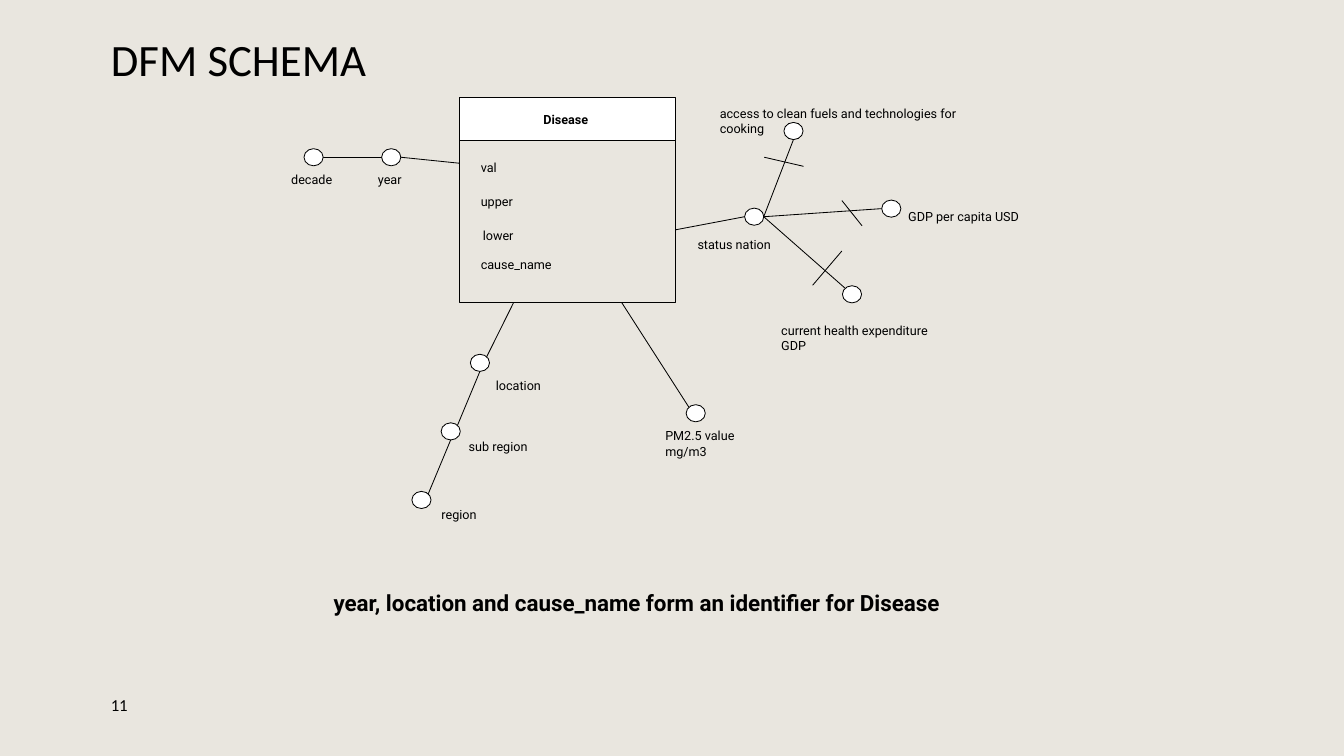
from lxml import etree
from pptx import Presentation
from pptx.dml.color import RGBColor
from pptx.enum.shapes import MSO_CONNECTOR as Link, MSO_SHAPE as Form
from pptx.enum.text import MSO_ANCHOR as Anchor, PP_ALIGN as Align
from pptx.oxml.ns import qn
from pptx.util import Inches, Pt

BLACK, WHITE, SAND = "000000", "FFFFFF", "E9E6DF"
WIDE, HIGH = 0.19, 0.17
PORTS = {"top": (0, -1), "left": (-1, 0), "right": (1, 0), "base": (0, 1),
         "nw": (-0.71, -0.71), "ne": (0.71, -0.71)}


def color(code):
    """Turn a hex string into a colour."""
    return RGBColor.from_string(code)


def write(shape, text, size=9, font="Roboto", bold=False, wrap=False,
          anchor=Anchor.TOP):
    """Put formatted text into a shape."""
    frame = shape.text_frame
    frame.word_wrap = wrap
    frame.vertical_anchor = anchor
    frame.text = text
    par = frame.paragraphs[0]
    par.alignment = Align.LEFT
    face = par.runs[0].font
    face.size, face.name, face.bold = Pt(size), font, bold
    face.color.rgb = color(BLACK)
    return par


def label(slide, x, y, w, text, h=0.22, **style):
    """Add a text box."""
    return write(slide.shapes.add_textbox(*map(Inches, (x, y, w, h))), text, **style)


def solid(slide, form, x, y, w, h, fill=None):
    """Add a thinly outlined shape."""
    shape = slide.shapes.add_shape(form, *map(Inches, (x, y, w, h)))
    shape.shadow.inherit = False
    if fill:
        shape.fill.solid()
        shape.fill.fore_color.rgb = color(fill)
    else:
        shape.fill.background()
    shape.line.color.rgb = color(BLACK)
    shape.line.width = Pt(0.59)


def line(slide, start, end):
    """Join two points with a thin line."""
    link = slide.shapes.add_connector(Link.STRAIGHT, *map(Inches, (*start, *end)))
    link.line.color.rgb = color(BLACK)
    link.line.width = Pt(0.59)
    etree.SubElement(link._element.spPr, qn("a:effectLst"))


def node(slide, x, y):
    """Add a circle centred on a point."""
    solid(slide, Form.OVAL, x - WIDE / 2, y - HIGH / 2, WIDE, HIGH, WHITE)


def port(spot, side):
    """Find a point on the rim of a node."""
    dx, dy = PORTS[side]
    return spot[0] + dx * WIDE / 2, spot[1] + dy * HIGH / 2


def heading(slide, x, y, w, h):
    """Place the slide title."""
    title = slide.shapes.title
    title.left, title.top, title.width, title.height = map(Inches, (x, y, w, h))
    par = write(title, "DFM SCHEMA", size=32, font="Calibri", wrap=True,
                anchor=Anchor.MIDDLE)
    par.line_spacing = 0.9


def fact(slide, x, y, w, h):
    """Draw the fact table with its measures."""
    head = 0.42
    solid(slide, Form.RECTANGLE, x, y, w, head, WHITE)
    solid(slide, Form.RECTANGLE, x, y + head, w, h - head)
    label(slide, x + 0.73, y + 0.09, 0.68, "Disease", bold=True)
    for text, dx, dy, wide in [("val", 0.11, 0.57, 0.38), ("upper", 0.11, 0.9, 0.55),
                               ("lower", 0.13, 1.24, 0.53),
                               ("cause_name", 0.11, 1.53, 0.95)]:
        label(slide, x + dx, y + dy, wide, text)


def time(slide, x, y, w, h):
    """Draw the time branch, ending at the left side of the fact."""
    year, decade = (x - 0.68, y + 0.59), (x - 1.45, y + 0.59)
    line(slide, port(decade, "right"), port(year, "left"))
    line(slide, port(year, "right"), (x, y + 0.65))
    for spot, text, dx, wide in [(year, "year", -0.23, 0.46),
                                 (decade, "decade", -0.32, 0.64)]:
        node(slide, *spot)
        label(slide, spot[0] + dx, spot[1] + 0.1, wide, text)


def place(slide, x, y, w, h):
    """Draw the chain of places below the fact."""
    start = x + w / 4, y + h
    for step, (text, dx, dy, wide) in enumerate([("location", 0.06, 0.1, 0.66),
                                                 ("sub region", 0.08, 0.02, 0.81),
                                                 ("region", 0.1, 0.02, 0.58)]):
        spot = x + 0.2 - 0.29 * step, y + 2.63 + 0.68 * step
        line(slide, start, port(spot, "ne"))
        node(slide, *spot)
        label(slide, spot[0] + dx, spot[1] + dy, wide, text)
        start = port(spot, "base")


def air(slide, x, y, w, h):
    """Draw the pollution branch below the fact."""
    spot = x + 2.34, y + 3.13
    line(slide, (x + w * 3 / 4, y + h), port(spot, "nw"))
    node(slide, *spot)
    label(slide, spot[0] - 0.4, spot[1] + 0.1, 1, "PM2.5 value mg/m3", wrap=True)


def nation(slide, x, y, w, h):
    """Draw the nation branch with its crossed-out optional links."""
    hub = x + w + 0.78, y + 1.18
    line(slide, (x + w, y + 1.31), port(hub, "left"))
    node(slide, *hub)
    label(slide, hub[0] - 0.66, hub[1] + 0.15, 0.93, "status nation")
    leaves = [
        ("access to clean fuels and technologies for cooking", 0.39, -0.85, "base",
         (-0.44, -1.15, 3.01), (0.1, -0.59, 0.49, -0.5)),
        ("GDP per capita USD", 1.36, -0.08, "left",
         (1.43, -0.13, 1.33), (0.87, -0.16, 1.07, 0.09)),
        ("current health expenditure GDP", 0.97, 0.77, "nw",
         (0.17, 1, 1.75), (0.58, 0.68, 0.87, 0.34)),
    ]
    for text, dx, dy, side, (tx, ty, wide), (ax, ay, bx, by) in leaves:
        spot = hub[0] + dx, hub[1] + dy
        line(slide, port(hub, "right"), port(spot, side))
        line(slide, (hub[0] + ax, hub[1] + ay), (hub[0] + bx, hub[1] + by))
        node(slide, *spot)
        label(slide, hub[0] + tx, hub[1] + ty, wide, text, wrap=side == "nw")


def main():
    """Build and save the slide."""
    deck = Presentation()
    deck.slide_width, deck.slide_height = Inches(13.33), Inches(7.5)
    slide = deck.slides.add_slide(deck.slide_layouts[5])
    slide.background.fill.solid()
    slide.background.fill.fore_color.rgb = color(SAND)
    heading(slide, 1, 0.28, 10.42, 0.67)
    for part in (fact, time, place, air, nation):
        part(slide, 4.56, 0.97, 2.14, 2.03)
    label(slide, 3.21, 5.8, 6.68, "year, location and cause_name form an identifier for Disease",
          h=0.37, size=16, bold=True, wrap=True)
    label(slide, 1, 6.83, 0.69, "11", h=0.32, size=12, font="Calibri", wrap=True,
          anchor=Anchor.MIDDLE)
    deck.save("out.pptx")


if __name__ == "__main__":
    main()
